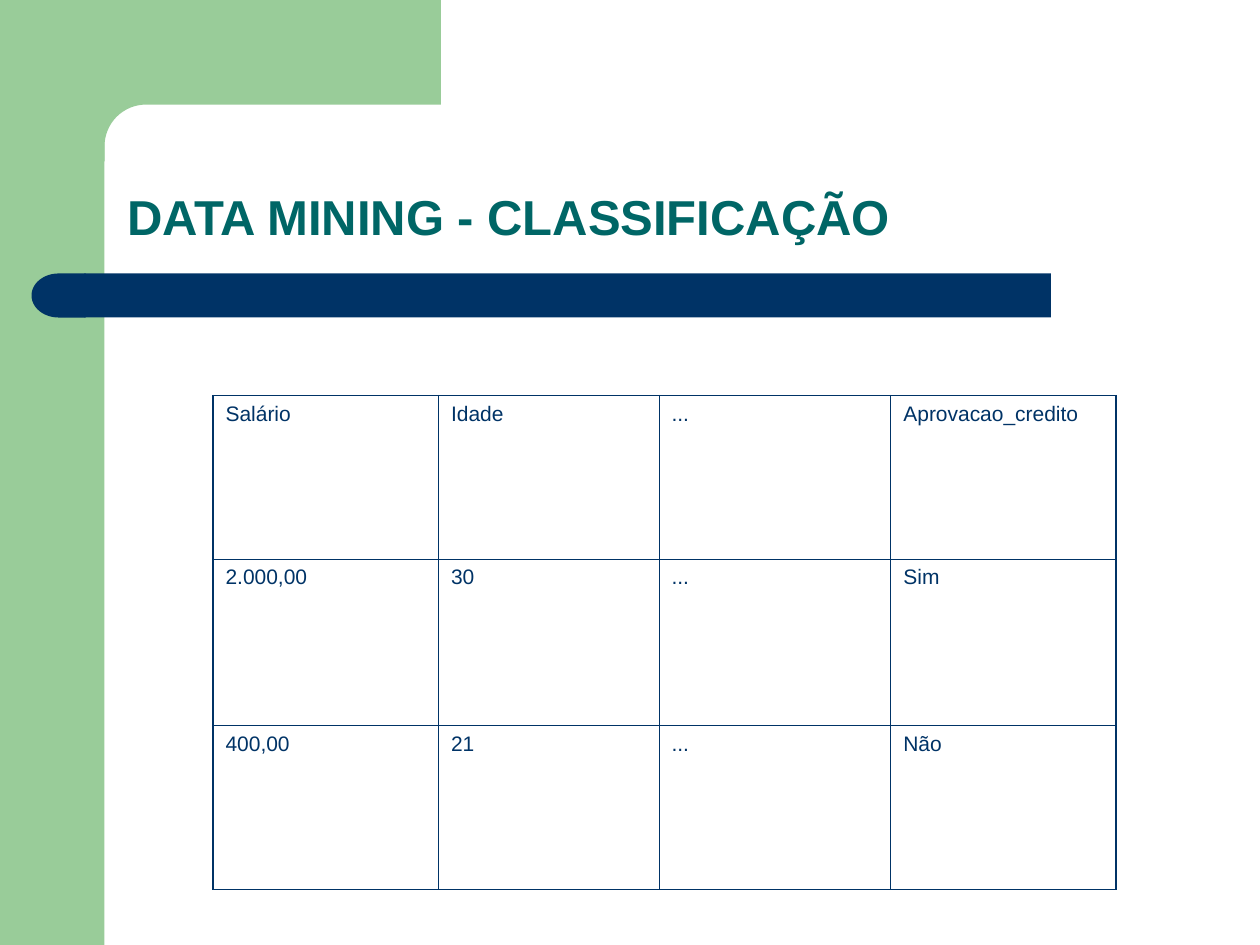
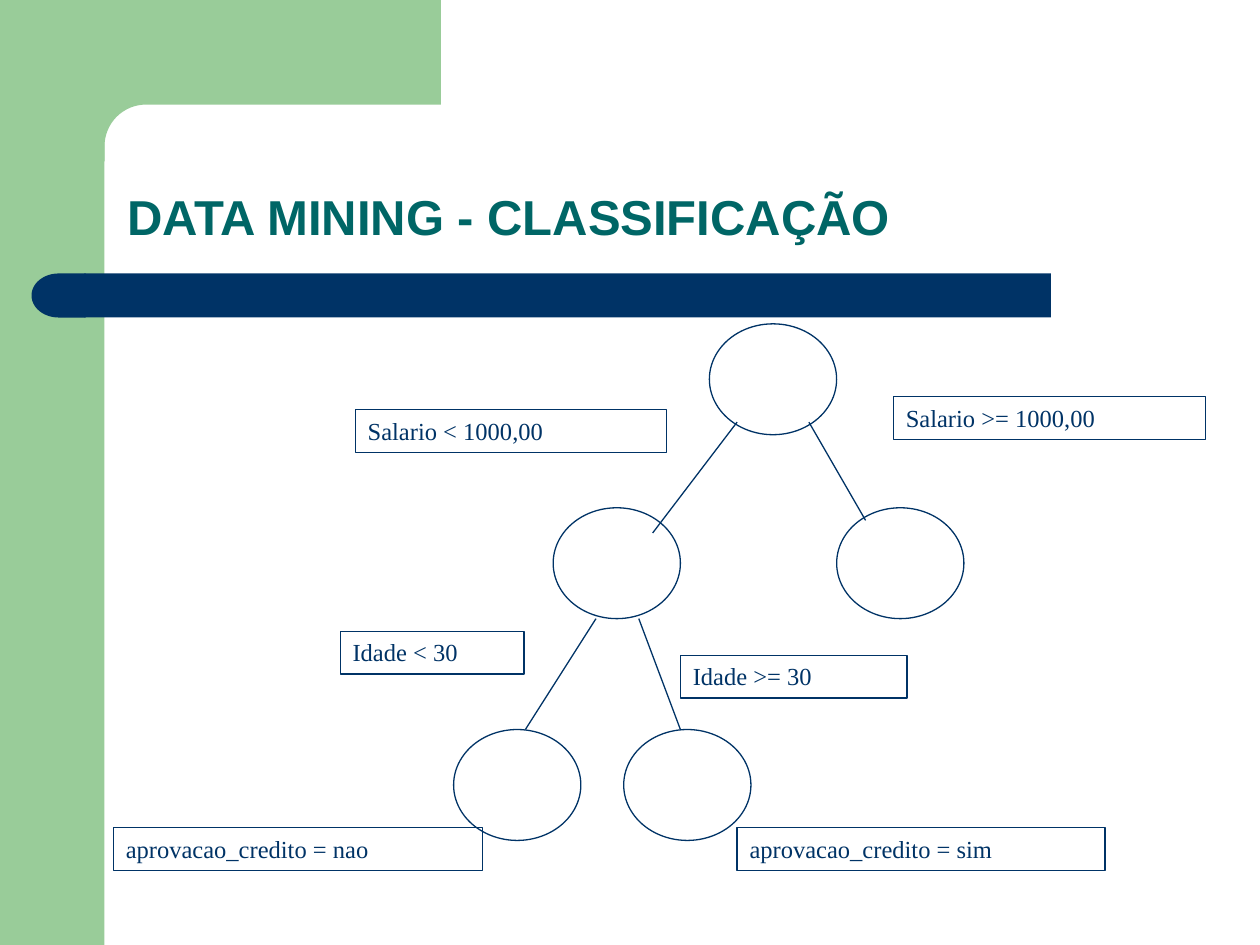
from math import cos, pi, sin

from lxml import etree
from pptx import Presentation
from pptx.dml.color import RGBColor
from pptx.enum.shapes import MSO_CONNECTOR, MSO_SHAPE
from pptx.enum.text import MSO_ANCHOR, PP_ALIGN
from pptx.oxml.ns import qn
from pptx.util import Inches, Pt

GREEN = RGBColor(0x99, 0xCC, 0x99)
NAVY = RGBColor(0x00, 0x33, 0x66)
TEAL = RGBColor(0x00, 0x66, 0x66)
RECTANGLE = MSO_SHAPE.RECTANGLE
ELLIPSE = MSO_SHAPE.OVAL
DELAY = MSO_SHAPE.FLOWCHART_DELAY
STRAIGHT = MSO_CONNECTOR.STRAIGHT
TOP = MSO_ANCHOR.TOP
BOTTOM = MSO_ANCHOR.BOTTOM
LEFT = PP_ALIGN.LEFT

TITLE = "DATA MINING - CLASSIFICAÇÃO"
LINE_WIDTH = 0.75
OUTER_BORDER = 1.08
INNER_BORDER = 0.45
NODE_WIDTH, NODE_HEIGHT = 1.01, 0.88
LABEL_HEIGHT = 0.34

CREDIT_COLUMNS = [1.79, 1.75, 1.84, 1.79]
CREDIT_ROW_HEIGHTS = [1.3, 1.32, 1.3]
CREDIT_ROWS = [
    ["Salário", "Idade", "...", "Aprovacao_credito"],
    ["2.000,00", "30", "...", "Sim"],
    ["400,00", "21", "...", "Não"],
]
TREE_NODES = [(5.63, 2.57), (4.39, 4.03), (6.64, 4.03), (3.6, 5.79), (4.95, 5.79)]
TREE_BRANCHES = [
    (5.85, 3.35, 5.18, 4.23),
    (6.42, 3.35, 6.87, 4.13),
    (4.73, 4.91, 4.17, 5.79),
    (5.07, 4.91, 5.4, 5.79),
]
TREE_LABELS = [
    ("Salario >= 1000,00", 7.09, 3.15, 2.48),
    ("Salario < 1000,00", 2.82, 3.25, 2.47),
    ("Idade < 30", 2.7, 5.01, 1.46),
    ("Idade >= 30", 5.4, 5.2, 1.8),
    ("aprovacao_credito = nao", 0.9, 6.57, 2.93),
    ("aprovacao_credito = sim", 5.85, 6.57, 2.92),
]


class Deck:
    """Holds the shared style and the slide being built."""

    def __init__(self):
        self.presentation = Presentation()
        self.presentation.slide_width = Inches(10)
        self.presentation.slide_height = Inches(7.5)
        self.slide = None

    def add_slide(self):
        self.slide = self.presentation.slides.add_slide(self.presentation.slide_layouts[6])
        self.shape(RECTANGLE, 0, 0, 0.83, 7.5, fill=GREEN)
        self.corner()
        self.shape(RECTANGLE, 0.67, 2.17, 7.67, 0.35, fill=NAVY)
        self.shape(DELAY, 0.25, 2.17, 0.43, 0.35, fill=NAVY).rotation = 180
        self.title(TITLE)

    def paint(self, shape, fill, line):
        shape.shadow.inherit = False
        if fill is None:
            shape.fill.background()
        else:
            shape.fill.solid()
            shape.fill.fore_color.rgb = fill
        if line is None:
            shape.line.fill.background()
        else:
            shape.line.color.rgb = line
            shape.line.width = Pt(LINE_WIDTH)

    def shape(self, kind, left, top, width, height, fill=None, line=None):
        shape = self.slide.shapes.add_shape(
            kind, Inches(left), Inches(top), Inches(width), Inches(height))
        self.paint(shape, fill, line)
        return shape

    def corner(self):
        steps = 16
        angles = [pi / 2 * step / steps for step in range(steps + 1)]
        curve = [(1.16 - 0.33 * sin(angle), 1.16 - 0.33 * cos(angle)) for angle in angles]
        outline = [(3.5, 0), (3.5, 0.83), *curve, (0.83, 1.28), (0.5, 1.28), (0.5, 0)]
        points = [(Inches(x), Inches(y)) for x, y in outline]
        builder = self.slide.shapes.build_freeform(*points[0])
        builder.add_line_segments(points[1:], close=True)
        self.paint(builder.convert_to_shape(), GREEN, None)

    def set_text(self, text_frame, text, font, size, color, bold=False):
        text_frame.text = text
        text_frame.word_wrap = True
        paragraph = text_frame.paragraphs[0]
        paragraph.alignment = LEFT
        for run in paragraph.runs:
            run.font.name = font
            run.font.size = Pt(size)
            run.font.bold = bold
            run.font.color.rgb = color
        return paragraph

    def title(self, text):
        box = self.slide.shapes.add_textbox(
            Inches(0.91), Inches(0.91), Inches(8.51), Inches(1.09))
        box.text_frame.vertical_anchor = BOTTOM
        self.set_text(box.text_frame, text, "Arial", 28, TEAL, True).line_spacing = 0.9

    def label(self, text, left, top, width):
        box = self.shape(RECTANGLE, left, top, width, LABEL_HEIGHT, line=NAVY)
        box.text_frame.vertical_anchor = TOP
        self.set_text(box.text_frame, text, "Times New Roman", 14, NAVY)

    def branch(self, *ends):
        connector = self.slide.shapes.add_connector(STRAIGHT, *map(Inches, ends))
        connector.line.color.rgb = NAVY
        connector.line.width = Pt(LINE_WIDTH)
        etree.SubElement(connector._element.spPr, qn("a:effectLst"))

    def border(self, cell, outer_sides):
        properties = cell._tc.get_or_add_tcPr()
        for index, side in enumerate("LRTB"):
            width = OUTER_BORDER if side in outer_sides else INNER_BORDER
            line = etree.Element(qn(f"a:ln{side}"), w=str(Pt(width)))
            fill = etree.SubElement(line, qn("a:solidFill"))
            etree.SubElement(fill, qn("a:srgbClr"), val=str(NAVY))
            properties.insert(index, line)

    def table(self, rows, left, top, widths, heights):
        table = self.slide.shapes.add_table(
            len(rows), len(widths), Inches(left), Inches(top),
            Inches(sum(widths)), Inches(sum(heights))).table
        table.first_row = False
        table.horz_banding = False
        for column, width in zip(table.columns, widths):
            column.width = Inches(width)
        for row, height in zip(table.rows, heights):
            row.height = Inches(height)
        for row_index, values in enumerate(rows):
            for column_index, value in enumerate(values):
                cell = table.cell(row_index, column_index)
                paragraph = self.set_text(cell.text_frame, value, "Arial", 12, NAVY)
                paragraph.space_before = Pt(3)
                cell.fill.background()
                edges = {
                    "L": column_index == 0,
                    "R": column_index == len(widths) - 1,
                    "T": row_index == 0,
                    "B": row_index == len(rows) - 1,
                }
                self.border(cell, [side for side, outer in edges.items() if outer])


def main():
    deck = Deck()

    deck.add_slide()
    deck.table(CREDIT_ROWS, 1.69, 3.14, CREDIT_COLUMNS, CREDIT_ROW_HEIGHTS)

    deck.add_slide()
    for left, top in TREE_NODES:
        deck.shape(ELLIPSE, left, top, NODE_WIDTH, NODE_HEIGHT, line=NAVY)
    for ends in TREE_BRANCHES:
        deck.branch(*ends)
    for label in TREE_LABELS:
        deck.label(*label)

    deck.presentation.save("out.pptx")


if __name__ == "__main__":
    main()
